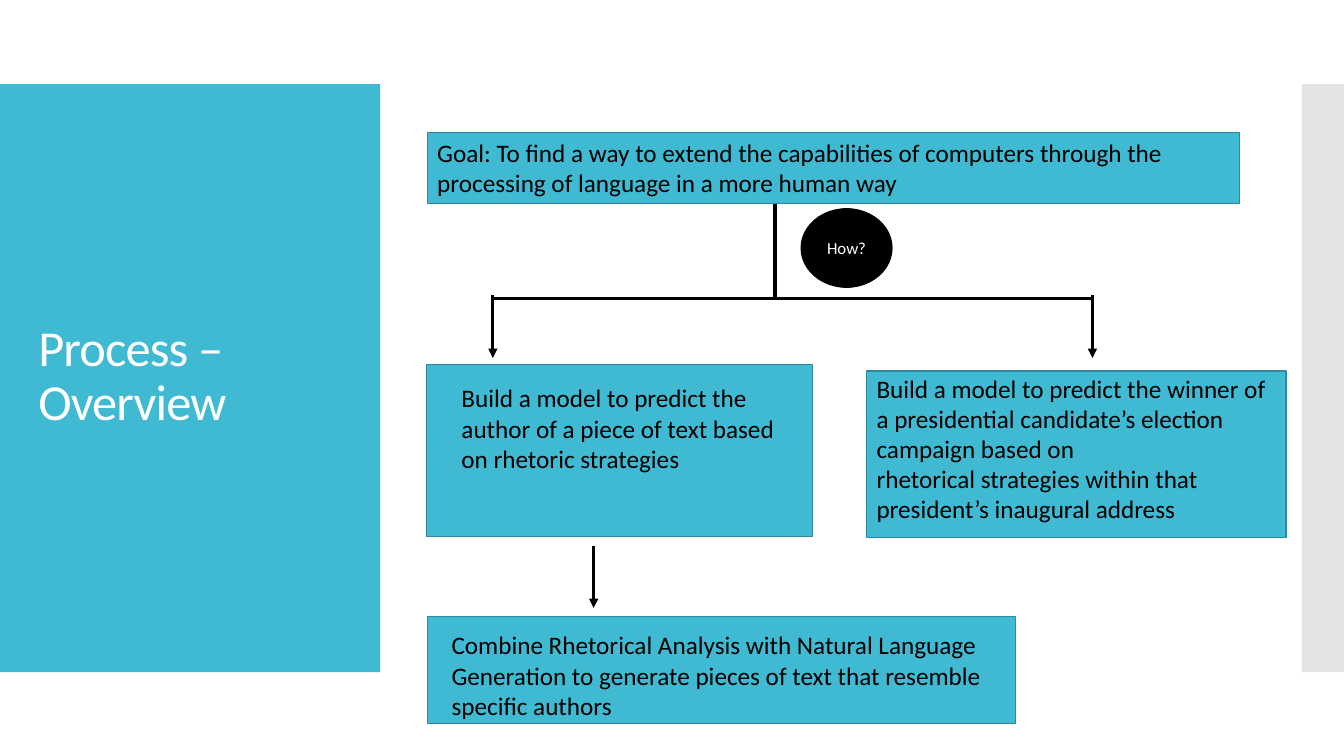
from pptx import Presentation
from pptx.dml.color import RGBColor
from pptx.enum.shapes import MSO_CONNECTOR, MSO_SHAPE as Preset
from pptx.enum.text import MSO_ANCHOR as Anchor, MSO_AUTO_SIZE as AutoSize, PP_ALIGN as Align
from pptx.oxml.ns import qn
from pptx.oxml.xmlchemy import OxmlElement
from pptx.util import Cm, Pt

TEAL = RGBColor(0x40, 0xBA, 0xD2)
DARK_TEAL = RGBColor(0x2F, 0x8A, 0x9B)
GREY = RGBColor(0xC8, 0xC8, 0xC8)
BLACK = RGBColor(0, 0, 0)
WHITE = RGBColor(0xFF, 0xFF, 0xFF)
FONT = "Calibri"


def lengths(box):
    return [Cm(value) for value in box]


def format_text(frame, size, color, align=Align.LEFT):
    for para in frame.paragraphs:
        para.alignment = align
        for span in para.runs:
            span.font.name = FONT
            span.font.size = Pt(size)
            span.font.color.rgb = color


def add_block(page, box, fill, outline=None, preset=Preset.RECTANGLE):
    block = page.shapes.add_shape(preset, *lengths(box))
    block.shadow.inherit = False
    block.fill.solid()
    block.fill.fore_color.rgb = fill
    if outline is None:
        block.line.fill.background()
    else:
        block.line.color.rgb = outline
        block.line.width = Pt(0.85)
    return block


def add_line(page, start, end, arrow=False):
    line = page.shapes.add_connector(MSO_CONNECTOR.STRAIGHT, *lengths(start + end))
    line.line.color.rgb = BLACK
    line.line.width = Pt(2.25)
    properties = line.element.spPr
    if arrow:
        tip = OxmlElement("a:tailEnd")
        tip.set("type", "triangle")
        properties.find(qn("a:ln")).append(tip)
    properties.append(OxmlElement("a:effectLst"))


def add_sidebar(page, box, text):
    left, top, width, height = box
    panel = add_block(page, box, TEAL)
    title = page.shapes.title
    title.element.addprevious(panel.element)
    title.left, title.top, title.width, title.height = lengths(
        (left + 0.71, top + 1, width - 1.4, height - 2.04))
    frame = title.text_frame
    frame.text = text
    frame.word_wrap = True
    frame.auto_size = AutoSize.NONE
    frame.vertical_anchor = Anchor.MIDDLE
    frame.paragraphs[0].line_spacing = 0.9
    format_text(frame, 36, WHITE)
    for properties in title.element.iter(qn("a:rPr")):
        properties.set("spc", "-60")


def add_edge_band(page, box):
    band = add_block(page, box, GREY)
    alpha = OxmlElement("a:alpha")
    alpha.set("val", "50000")
    band.element.spPr.find(qn("a:solidFill"))[0].append(alpha)


def add_step(page, box, text, inset, text_size):
    left, top, width, height = box
    add_block(page, box, TEAL, DARK_TEAL)
    label = page.shapes.add_textbox(
        *lengths((left + inset[0], top + inset[1]) + text_size))
    frame = label.text_frame
    frame.word_wrap = True
    frame.text = text
    format_text(frame, 18, BLACK)


def add_question(page, box, text):
    bubble = add_block(page, box, BLACK, BLACK, Preset.OVAL)
    frame = bubble.text_frame
    frame.text = text
    frame.vertical_anchor = Anchor.MIDDLE
    format_text(frame, 12, WHITE, Align.CENTER)


def add_branches(page, box, stem):
    left, top, width, height = box
    right, fork = left + width, top + 2.39
    add_line(page, (stem, top), (stem, fork))
    add_line(page, (left, fork), (right, fork))
    for branch in (left, right):
        add_line(page, (branch, fork - 0.08), (branch, top + height), arrow=True)


def add_flow(page, box):
    left, top, width, height = box
    add_step(page, (left, top, 20.47, 1.8),
             "Goal: To find a way to extend the capabilities of computers through the\n"
             "processing of language in a more human way",
             (0, 0), (19.61, 1.8))
    add_step(page, (left - 0.03, top + 5.86, 9.73, 4.34),
             "Build a model to predict the author of a piece of text based "
             "on rhetoric strategies",
             (0.64, 0.33), (8.56, 2.57))
    add_step(page, (left + width - 10.57, top + 6.02, 10.57, 4.19),
             "Build a model to predict the winner of a presidential candidate’s "
             "election campaign based on\n"
             "rhetorical strategies within that president’s inaugural address",
             (0, -0.08), (10.57, 4.11))
    add_step(page, (left, top + height - 2.69, 14.83, 2.69),
             "Combine Rhetorical Analysis with Natural Language Generation to "
             "generate pieces of text that resemble specific authors",
             (0.36, 0.2), (14.17, 2.57))
    add_branches(page, (left + 1.65, top + 1.8, 15.11, 3.89), left + 8.76)
    add_line(page, (left + 4.19, top + 10.44), (left + 4.19, top + 11.99), arrow=True)
    add_question(page, (left + 9.42, top + 1.93, 2.29, 1.98), "How?")


def main():
    deck = Presentation()
    deck.slide_width, deck.slide_height = Cm(33.87), Cm(19.05)
    page = deck.slides.add_slide(deck.slide_layouts.get_by_name("Title Only"))
    add_sidebar(page, (0, 2.12, 9.58, 14.82), "Process –Overview")
    add_edge_band(page, (32.81, 2.12, 1.06, 14.82))
    add_flow(page, (10.77, 3.33, 21.64, 14.9))
    deck.save("out.pptx")


if __name__ == "__main__":
    main()
